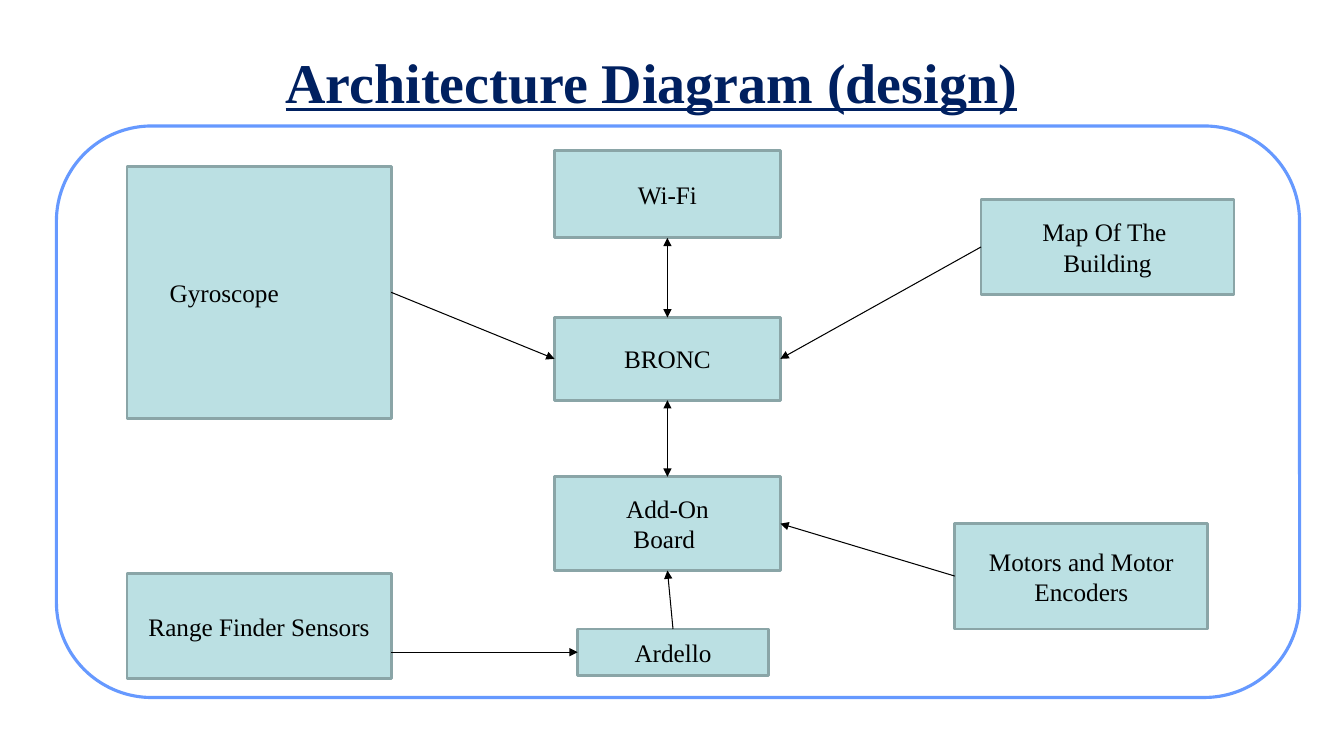
"""Build the architecture diagram slide."""
from lxml import etree
from pptx import Presentation
from pptx.dml.color import RGBColor
from pptx.enum import shapes, text
from pptx.oxml.ns import qn
from pptx.util import Inches, Pt

FONT = "Times New Roman"
WHITE = RGBColor(0xFF, 0xFF, 0xFF)
BLACK = RGBColor(0x00, 0x00, 0x00)
NAVY = RGBColor(0x00, 0x20, 0x60)
FRAME_BLUE = RGBColor(0x66, 0x99, 0xFF)
BOX_FILL = RGBColor(0xBB, 0xE0, 0xE3)
BOX_LINE = RGBColor(0x8A, 0xA5, 0xA7)
TOP, LEFT, BOTTOM, RIGHT = range(4)


def add_block(kind, bounds, fill, line, width):
    shape = slide.shapes.add_shape(kind, *map(Inches, bounds))
    shape.shadow.inherit = False
    shape.fill.solid()
    shape.fill.fore_color.rgb = fill
    shape.line.color.rgb = line
    shape.line.width = Pt(width)
    return shape


def add_centred_run(paragraph, words, size, color):
    paragraph.alignment = text.PP_ALIGN.CENTER
    run = paragraph.add_run()
    run.text = words
    run.font.name = FONT
    run.font.size = Pt(size)
    run.font.color.rgb = color
    return run


presentation = Presentation()
presentation.slide_width = Inches(13.33)
presentation.slide_height = Inches(7.5)
slide = presentation.slides.add_slide(presentation.slide_layouts[6])

add_block(shapes.MSO_SHAPE.ROUNDED_RECTANGLE, (0.56, 1.25, 12.33, 5.67),
          WHITE, FRAME_BLUE, 2.25)

title = slide.shapes.add_textbox(*map(Inches, (2.33, 0.42, 8.26, 0.77)))
title.text_frame.word_wrap = True
title_run = add_centred_run(title.text_frame.paragraphs[0],
                            "Architecture Diagram (design)", 40, NAVY)
title_run.font.bold = True
title_run.font.underline = True

components = {
    "main": (["BRONC"], (5.5, 3.15, 2.24, 0.82)),
    "board": (["Add-On", "Board "], (5.5, 4.73, 2.24, 0.93)),
    "motors": (["Motors and Motor Encoders"], (9.47, 5.19, 2.51, 1.05)),
    "map": (["Map Of The ", "Building"], (9.73, 1.98, 2.51, 0.94)),
    "gyroscope": (["Gyroscope"], (1.26, 1.65, 2.62, 2.5)),
    "range": (["Range Finder Sensors"], (1.26, 5.69, 2.62, 1.04)),
    "wifi": (["Wi-Fi"], (5.5, 1.49, 2.24, 0.87)),
    "controller": (["Ardello"], (5.73, 6.24, 1.89, 0.46)),
}
boxes = {}
for name, (lines, bounds) in components.items():
    box = add_block(shapes.MSO_SHAPE.RECTANGLE, bounds, BOX_FILL, BOX_LINE, 2)
    frame = box.text_frame
    frame.word_wrap = True
    frame.vertical_anchor = text.MSO_ANCHOR.MIDDLE
    for index, words in enumerate(lines):
        paragraph = frame.add_paragraph() if index else frame.paragraphs[0]
        add_centred_run(paragraph, words, 18, BLACK)
    boxes[name] = box
boxes["gyroscope"].text_frame.margin_right = Inches(0.79)

arrows = [
    ("main", BOTTOM, "board", TOP, True),
    ("motors", LEFT, "board", RIGHT, False),
    ("map", LEFT, "main", RIGHT, False),
    ("gyroscope", RIGHT, "main", LEFT, False),
    ("range", None, "controller", LEFT, False),
    ("wifi", BOTTOM, "main", TOP, True),
    ("controller", TOP, "board", BOTTOM, False),
]
for source, source_side, target, target_side, two_way in arrows:
    connector = slide.shapes.add_connector(
        shapes.MSO_CONNECTOR.STRAIGHT,
        Inches(3.88), Inches(6.47), Inches(5.73), Inches(6.47))
    if source_side is not None:
        connector.begin_connect(boxes[source], source_side)
    connector.end_connect(boxes[target], target_side)
    connector.line.color.rgb = BLACK
    connector.line.width = Pt(0.75)
    line = connector.line._get_or_add_ln()
    for end in ["headEnd", "tailEnd"] if two_way else ["tailEnd"]:
        etree.SubElement(line, qn(f"a:{end}"), type="triangle")
    etree.SubElement(connector._element.spPr, qn("a:effectLst"))

presentation.save("out.pptx")
